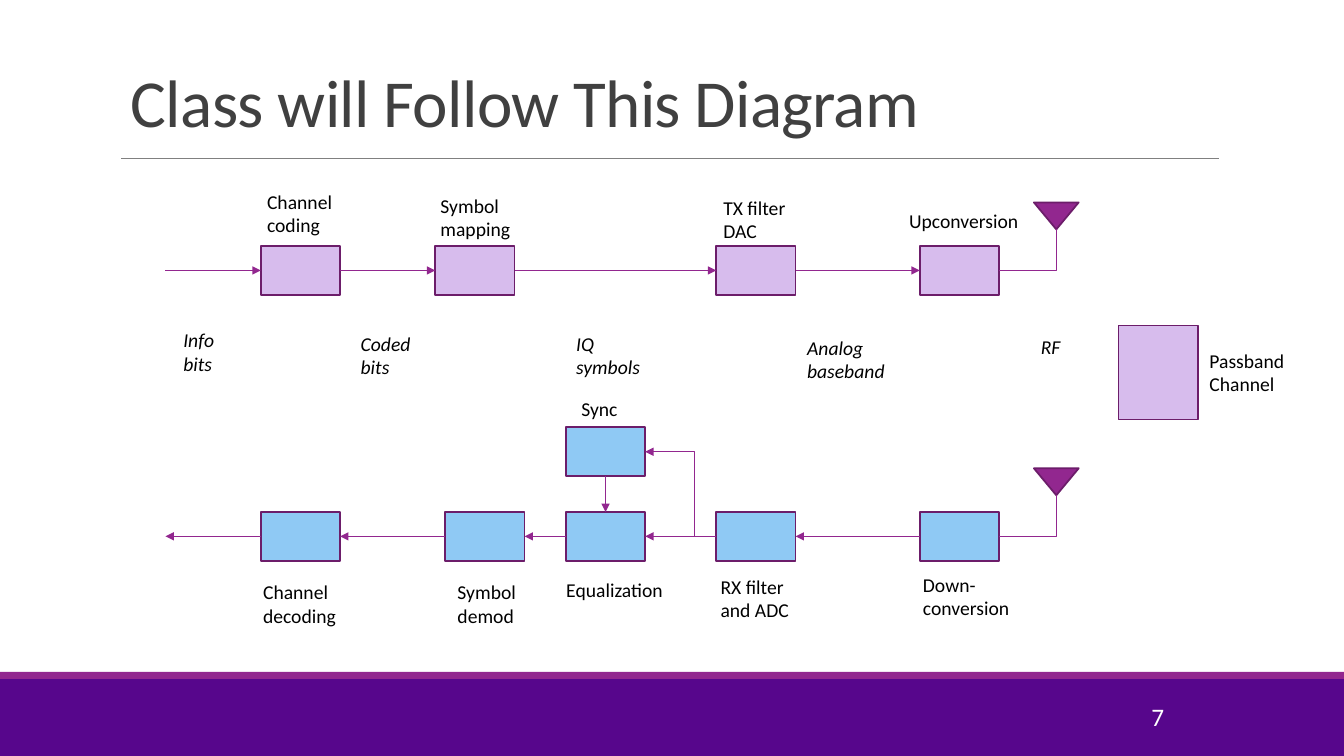
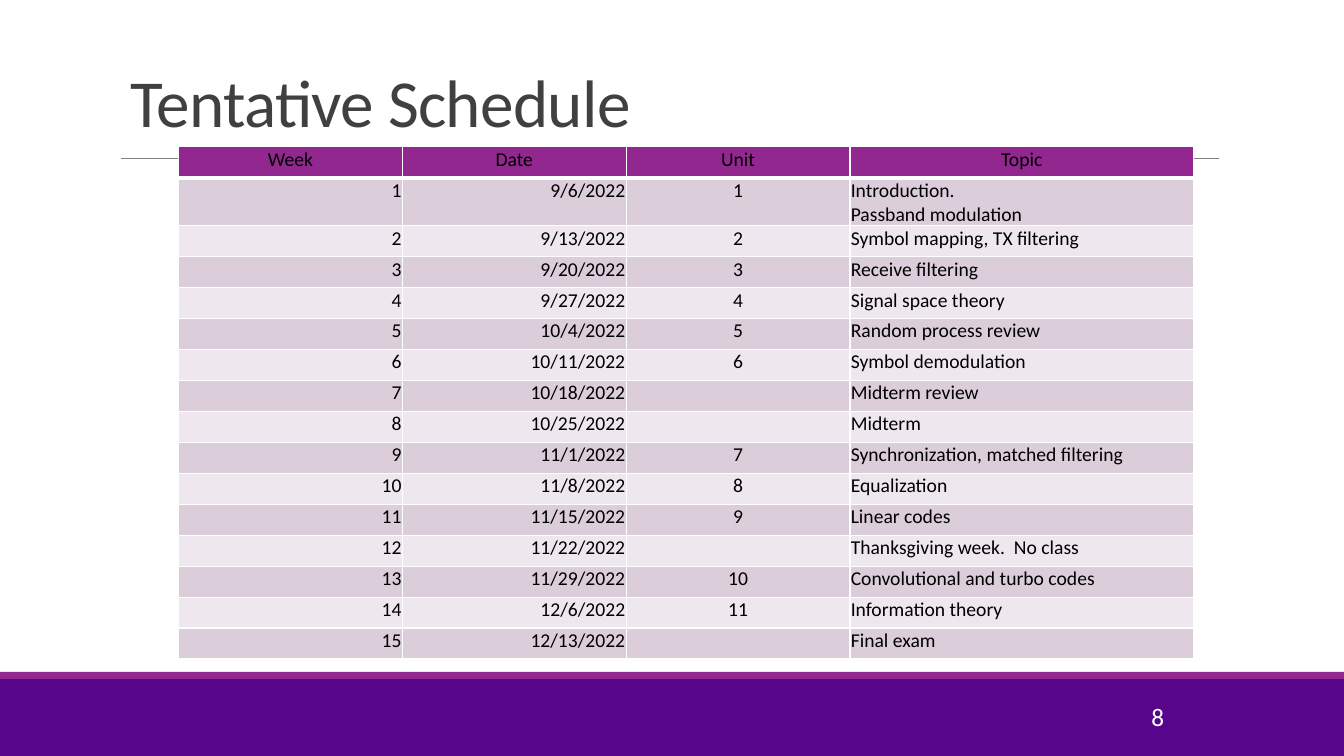
"""Build two course slides: a transceiver block diagram and a weekly schedule."""
from lxml.etree import SubElement
from pptx import Presentation
from pptx.dml.color import RGBColor
from pptx.enum.shapes import MSO_CONNECTOR, MSO_SHAPE
from pptx.enum.text import MSO_ANCHOR, MSO_AUTO_SIZE, PP_ALIGN
from pptx.oxml import parse_xml
from pptx.oxml.ns import nsdecls, qn
from pptx.util import Cm, Pt

FONT = "Calibri"
BLACK, WHITE, GREY, TITLE = "000000", "FFFFFF", "808080", "404040"
VIOLET, PURPLE, OUTLINE = "57068C", "92278F", "6C1D6A"
LILAC, SKY = "D7BCED", "8FC9F4"
BANDS = ("DCCDDB", "EEE8EE")
SLIDE_W, SLIDE_H = 33.87, 19.05
BOX_W, BOX_H = 2, 1.23
TX_Y, RX_Y, SYNC_Y = 6.2, 12.9, 10.77
TX_X = (6.57, 10.97, 18.05, 23.18)
RX_X = (23.18, 18.05, 14.26, 11.22, 6.57)
LINE_START_X = 4.17
ANTENNA_X, ANTENNA_W, ANTENNA_H, ANTENNA_RISE = 26.62, 1.13, 0.68, 1.1
ONE_LINE, TWO_LINES = 0.86, 1.43

BLOCK_LABELS = (
    ("Channel coding", 6.48, 4.65, 2.67, TWO_LINES),
    ("Symbol\nmapping", 10.85, 4.75, 2.54, TWO_LINES),
    ("TX filter DAC", 17.98, 4.8, 2.62, TWO_LINES),
    ("Upconversion", 22.66, 5.13, 3.28, ONE_LINE),
    ("Passband\nChannel", 30.23, 8.66, 3.28, TWO_LINES),
    ("Down-conversion", 23.01, 14.3, 3.28, TWO_LINES),
    ("RX filter\nand ADC", 17.91, 14.35, 3.28, TWO_LINES),
    ("Sync", 14.4, 9.88, 3.28, ONE_LINE),
    ("Equalization", 14.02, 14.43, 3.28, ONE_LINE),
    ("Symbol\ndemod", 11.28, 14.5, 2.41, TWO_LINES),
    ("Channel\ndecoding", 6.38, 14.5, 2.41, TWO_LINES),
)
SIGNAL_LABELS = (
    ("Info bits", 4.37, 8.15, 1.98, TWO_LINES),
    ("Coded bits", 8.84, 8.23, 1.98, TWO_LINES),
    ("IQ symbols", 14.27, 8.23, 2.41, TWO_LINES),
    ("Analog baseband", 20.09, 8.33, 2.64, TWO_LINES),
    ("RF", 25.98, 8.31, 1.45, ONE_LINE),
)

COLUMN_WIDTHS = (5.64, 5.64, 5.64, 8.66)
COLUMN_ALIGN = (PP_ALIGN.RIGHT, PP_ALIGN.RIGHT, PP_ALIGN.CENTER, PP_ALIGN.LEFT)
ROW_H, TALL_ROW_H = 0.78, 1.19
HEADINGS = ("Week", "Date", "Unit", "Topic")
SCHEDULE = (
    ("9/6/2022", "1", "Introduction.\nPassband modulation"),
    ("9/13/2022", "2", "Symbol mapping, TX filtering"),
    ("9/20/2022", "3", "Receive filtering"),
    ("9/27/2022", "4", "Signal space theory"),
    ("10/4/2022", "5", "Random process review"),
    ("10/11/2022", "6", "Symbol demodulation"),
    ("10/18/2022", "", "Midterm review"),
    ("10/25/2022", "", "Midterm"),
    ("11/1/2022", "7", "Synchronization, matched filtering"),
    ("11/8/2022", "8", "Equalization"),
    ("11/15/2022", "9", "Linear codes"),
    ("11/22/2022", "", "Thanksgiving week.  No class"),
    ("11/29/2022", "10", "Convolutional and turbo codes"),
    ("12/6/2022", "11", "Information theory"),
    ("12/13/2022", "", "Final exam"),
)


def rgb(value):
    """Turn a hex string into a colour."""
    return RGBColor.from_string(value)


def write(p, text, size, color=BLACK, align=PP_ALIGN.LEFT, italic=False):
    """Fill a paragraph and set its font."""
    p.text = text
    p.alignment = align
    p.font.name = FONT
    p.font.size = Pt(size)
    p.font.bold = False
    p.font.italic = italic
    p.font.color.rgb = rgb(color)


def add_text(s, text, x, y, w, h, size=14, anchor=MSO_ANCHOR.TOP, **style):
    """Add a wrapping text box."""
    sp = s.shapes.add_textbox(Cm(x), Cm(y), Cm(w), Cm(h))
    tf = sp.text_frame
    tf.word_wrap = True
    tf.vertical_anchor = anchor
    write(tf.paragraphs[0], text, size, **style)
    return sp


def add_label(s, label, italic=False):
    """Add a diagram label that fits its text."""
    sp = add_text(s, *label, italic=italic)
    sp.text_frame.auto_size = MSO_AUTO_SIZE.SHAPE_TO_FIT_TEXT


def add_block(s, x, y, w, h, fill, outline=OUTLINE, kind=MSO_SHAPE.RECTANGLE):
    """Add a filled shape, outlined unless outline is None."""
    sp = s.shapes.add_shape(kind, Cm(x), Cm(y), Cm(w), Cm(h))
    sp.shadow.inherit = False
    sp.fill.solid()
    sp.fill.fore_color.rgb = rgb(fill)
    if outline:
        sp.line.color.rgb = rgb(outline)
        sp.line.width = Pt(1.25)
    else:
        sp.line.fill.background()
    return sp


def add_line(s, x1, y1, x2, y2, color=PURPLE, width=1, arrow=None,
             kind=MSO_CONNECTOR.STRAIGHT):
    """Add a connector; arrow is None, headEnd or tailEnd."""
    sp = s.shapes.add_connector(kind, Cm(x1), Cm(y1), Cm(x2), Cm(y2))
    sp.line.color.rgb = rgb(color)
    sp.line.width = Pt(width)
    if arrow:
        SubElement(sp.element.spPr.find(qn("a:ln")), qn("a:" + arrow), type="triangle")
    SubElement(sp.element.spPr, qn("a:effectLst"))
    return sp


def add_elbow(s, x1, y1, x2, y2, arrow=None):
    """Add a connector that runs across and then turns once."""
    sp = add_line(s, x1, y1, x2, y2, arrow=arrow, kind=MSO_CONNECTOR.ELBOW)
    sp.element.spPr.find(qn("a:prstGeom")).set("prst", "bentConnector2")


def join(s, a, a_side, b, b_side):
    """Draw an arrow from a side of one block to a side of another."""
    sp = add_line(s, 0, 0, 1, 1, arrow="tailEnd")
    sp.begin_connect(a, a_side)
    sp.end_connect(b, b_side)


def add_chain(s, xs, y, fill, out_side, in_side):
    """Add a row of blocks joined in order by arrows."""
    blocks = [add_block(s, x, y, BOX_W, BOX_H, fill) for x in xs]
    for a, b in zip(blocks, blocks[1:]):
        join(s, a, out_side, b, in_side)
    return blocks


def add_antenna(s, box_x, box_y):
    """Add an antenna fed from the right side of a block."""
    top = box_y - ANTENNA_RISE
    sp = add_block(s, ANTENNA_X - ANTENNA_W / 2, top, ANTENNA_W, ANTENNA_H,
                   PURPLE, kind=MSO_SHAPE.ISOSCELES_TRIANGLE)
    sp.rotation = 180
    add_elbow(s, box_x + BOX_W, box_y + BOX_H / 2, ANTENNA_X, top + ANTENNA_H)


def add_page(prs, title, number):
    """Add a slide with the shared bands, rule, title and number."""
    s = prs.slides.add_slide(prs.slide_layouts[6])
    add_block(s, 0, 17.11, SLIDE_W, SLIDE_H - 17.11, VIOLET, None)
    add_block(s, 0, 16.93, SLIDE_W, 0.18, PURPLE, None)
    add_line(s, 3.05, 3.98, 30.73, 3.98, GREY, 0.5)
    sp = add_text(s, title, 3.05, 0.79, 27.94, 2.9, 48, MSO_ANCHOR.BOTTOM, color=TITLE)
    p = sp.text_frame.paragraphs[0]
    p.line_spacing = 0.85
    sp.element.find(".//" + qn("a:defRPr")).set("spc", "-50")
    add_text(s, str(number), 25.96, 17.55, 3.63, 1.02, 18, MSO_ANCHOR.MIDDLE,
             color=WHITE, align=PP_ALIGN.RIGHT)
    return s


def set_borders(cell, top, bottom):
    """Give a cell white borders with the given top and bottom widths."""
    tc_pr = cell._tc.get_or_add_tcPr()
    widths = (("lnL", 1), ("lnR", 1), ("lnT", top), ("lnB", bottom))
    for i, (tag, width) in enumerate(widths):
        tc_pr.insert(i, parse_xml(
            f'<a:{tag} {nsdecls("a")} w="{Pt(width)}"><a:solidFill>'
            f'<a:srgbClr val="{WHITE}"/></a:solidFill></a:{tag}>'))


def add_schedule(s, x, y):
    """Add the schedule table with a header and banded rows."""
    rows = [HEADINGS] + [(str(n), *row) for n, row in enumerate(SCHEDULE, 1)]
    heights = [TALL_ROW_H if "\n" in row[-1] else ROW_H for row in rows]
    tb = s.shapes.add_table(len(rows), len(HEADINGS), Cm(x), Cm(y),
                            Cm(sum(COLUMN_WIDTHS)), Cm(sum(heights))).table
    tb.first_row = tb.horz_banding = False
    for column, width in zip(tb.columns, COLUMN_WIDTHS):
        column.width = Cm(width)
    for i, (row, height) in enumerate(zip(rows, heights)):
        tb.rows[i].height = Cm(height)
        for j, text in enumerate(row):
            cell = tb.cell(i, j)
            cell.margin_left = cell.margin_right = cell.margin_top = Cm(0.02)
            cell.margin_bottom = 0
            cell.fill.solid()
            cell.fill.fore_color.rgb = rgb(BANDS[(i - 1) % 2] if i else PURPLE)
            set_borders(cell, 3 if i == 1 else 1, 1 if i else 3)
            write(cell.text_frame.paragraphs[0], text, 14,
                  align=COLUMN_ALIGN[j] if i else PP_ALIGN.CENTER)


def add_diagram(s):
    """Add the transmit and receive chains with their labels."""
    tx = add_chain(s, TX_X, TX_Y, LILAC, 3, 1)
    rx = add_chain(s, RX_X, RX_Y, SKY, 1, 3)
    tx_mid, rx_mid = TX_Y + BOX_H / 2, RX_Y + BOX_H / 2
    source = add_line(s, LINE_START_X, tx_mid, TX_X[0], tx_mid, arrow="tailEnd")
    source.end_connect(tx[0], 1)
    sink = add_line(s, RX_X[-1], rx_mid, LINE_START_X, rx_mid, arrow="tailEnd")
    sink.begin_connect(rx[-1], 1)
    add_antenna(s, TX_X[-1], TX_Y)
    add_antenna(s, RX_X[0], RX_Y)
    add_block(s, 28.19, 8.2, BOX_W, 2.37, LILAC)
    sync = add_block(s, RX_X[2], SYNC_Y, BOX_W, BOX_H, SKY)
    join(s, sync, 2, rx[2], 0)
    add_elbow(s, RX_X[2] + BOX_W, SYNC_Y + BOX_H / 2, 17.5, rx_mid, "headEnd")
    for label in BLOCK_LABELS:
        add_label(s, label)
    for label in SIGNAL_LABELS:
        add_label(s, label, italic=True)


def main():
    """Build and save the presentation."""
    prs = Presentation()
    prs.slide_width, prs.slide_height = Cm(SLIDE_W), Cm(SLIDE_H)
    add_diagram(add_page(prs, "Class will Follow This Diagram", 7))
    add_schedule(add_page(prs, "Tentative Schedule", 8), 4.5, 3.7)
    prs.save("out.pptx")


if __name__ == "__main__":
    main()
